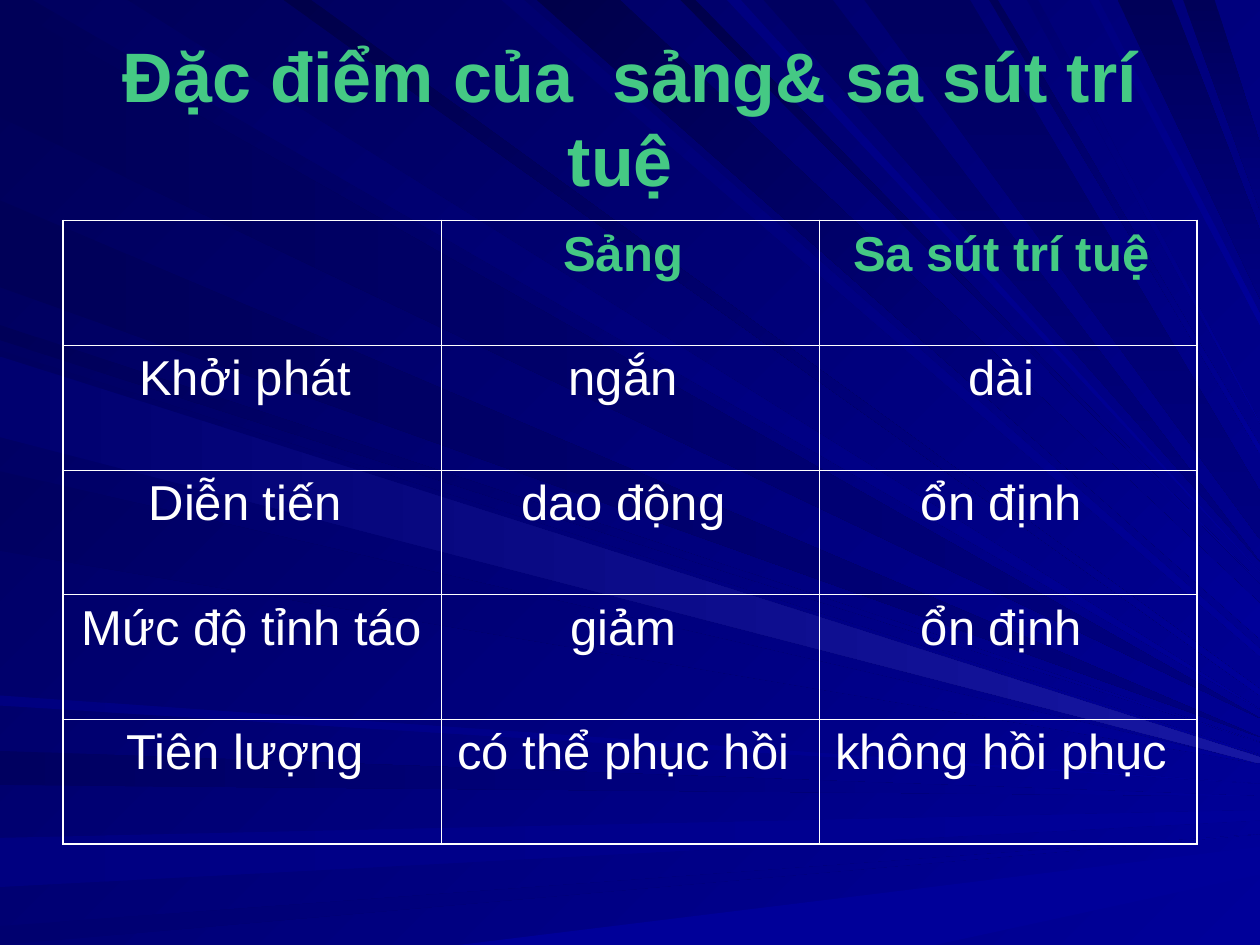
from lxml import etree
from pptx import Presentation
from pptx.dml.color import RGBColor
from pptx.enum.text import MSO_ANCHOR, MSO_AUTO_SIZE, PP_ALIGN
from pptx.oxml.ns import qn
from pptx.util import Emu, Pt

PX = 9144  # EMU per px, 100 px to the inch
WIDTH, HEIGHT = 1000, 750
CENTER, MIDDLE, NO_FIT = PP_ALIGN.CENTER, MSO_ANCHOR.MIDDLE, MSO_AUTO_SIZE.NONE
GREEN = RGBColor.from_string("45C984")
WHITE = RGBColor.from_string("FFFFFF")
BLACKISH = RGBColor.from_string("00004A")
NIGHT = RGBColor.from_string("000058")
DUSK = RGBColor.from_string("000060")
SHADE = RGBColor.from_string("00006F")
NAVY = RGBColor.from_string("000080")
BLUE = RGBColor.from_string("000099")
GLOW = RGBColor.from_string("1717A2")
ACROSS, DIAGONAL, DOWN = 0, 45, 90
FONT = "Arial"
OUTER, INNER = Pt(1.08), Pt(0.45)

TITLE = "Đặc điểm của  sảng& sa sút trí tuệ "
TITLE_BOX = (50, 30, 900, 125)
TABLE_BOX = (50, 175, 900, 495)
ROWS = [
    ("", "Sảng ", "Sa sút trí tuệ "),
    ("Khởi phát ", "ngắn ", "dài "),
    ("Diễn tiến ", "dao động ", "ổn định "),
    ("Mức độ tỉnh táo ", "giảm ", "ổn định "),
    ("Tiên lượng ", "có thể phục hồi ", "không hồi phục "),
]

# Light rays, back to front: edge they start from, span on that edge,
# heights where they meet the right edge, first colour, last colour, angle
RAYS = [
    ("left", (93, 2), [570], NIGHT, NAVY, ACROSS),
    ("top", (26, 101), [563], DUSK, BLUE, DIAGONAL),
    ("left", (623, 596), [632], DUSK, BLUE, ACROSS),
    ("left", (704, 665), [643, 651], NAVY, BLUE, ACROSS),
    ("left", (750, 735), [662], SHADE, BLUE, ACROSS),
    ("bottom", (742, 364), [672, 694], BLUE, BLUE, ACROSS),
    ("left", (270, 258), [589], NIGHT, BLUE, DIAGONAL),
    ("left", (228, 159), [585], NIGHT, NAVY, ACROSS),
    ("top", (398, 416), [515, 521], SHADE, BLUE, DIAGONAL),
    ("top", (426, 492), [479, 507], BLACKISH, BLUE, DIAGONAL),
    ("top", (540, 552), [463], BLACKISH, BLUE, DIAGONAL),
    ("top", (606, 661), [446], DUSK, NAVY, DOWN),
    ("top", (887, 930), [183, 237], NIGHT, NAVY, DOWN),
    ("top", (939, 964), [114, 167], NIGHT, NAVY, DOWN),
    ("left", (342, 278), [599], DUSK, BLUE, DIAGONAL),
    ("left", (437, 374), [606], DUSK, BLUE, DIAGONAL),
    ("left", (560, 552), [622], NAVY, BLUE, ACROSS),
    ("top", (225, 247), [547, 552], BLACKISH, BLUE, DIAGONAL),
    ("top", (577, 588), [454], NAVY, BLUE, DIAGONAL),
    ("top", (686, 770), [390, 428], DUSK, NAVY, DOWN),
    ("top", (785, 792), [354, 360], NIGHT, BLUE, DIAGONAL),
    ("top", (815, 824), [336], SHADE, BLUE, DIAGONAL),
    ("top", (865, 872), [249, 258], NAVY, BLUE, DIAGONAL),
    ("left", (347, 283), [601, 606], SHADE, GLOW, ACROSS),
]


def paint(fill, first, last, angle):
    """Solid when both colours agree, else a linear gradient turned clockwise."""
    if first == last:
        fill.solid()
        fill.fore_color.rgb = first
        return
    fill.gradient()
    fill.gradient_angle = -angle % 360
    for stop, color in zip(fill.gradient_stops, (first, last)):
        stop.color.rgb = color


def add_ray(shapes, edge, span, tips, first, last, angle):
    if edge == "left":
        points = [(0, y) for y in span]
    else:
        points = [(x, 0 if edge == "top" else HEIGHT) for x in span]
    points += [(WIDTH, y) for y in tips]
    builder = shapes.build_freeform(*points[0], scale=PX)
    builder.add_line_segments(points[1:], close=True)
    sp = builder.convert_to_shape()
    sp.shadow.inherit = False
    paint(sp.fill, first, last, angle)
    sp.line.fill.background()


def write(tf, text, color, **font):
    p = tf.paragraphs[0]
    p.alignment = CENTER
    r = p.add_run()
    r.text = text
    for name, value in font.items():
        setattr(r.font, name, value)
    r.font.name = FONT
    r.font.color.rgb = color


def add_borders(cell, widths):
    tc_pr = cell._tc.get_or_add_tcPr()
    for side, width in zip("LRTB", widths):
        ln = etree.SubElement(tc_pr, qn(f"a:ln{side}"), w=str(width))
        solid = etree.SubElement(ln, qn("a:solidFill"))
        etree.SubElement(solid, qn("a:srgbClr"), val=str(WHITE))


def add_comparison(shapes):
    n_rows, n_cols = len(ROWS), len(ROWS[0])
    frame = shapes.add_table(n_rows, n_cols, *(Emu(v * PX) for v in TABLE_BOX))
    table = frame.table
    table.first_row = table.horz_banding = False
    for i, row in enumerate(ROWS):
        for j, text in enumerate(row):
            cell = table.cell(i, j)
            edges = (j == 0, j == n_cols - 1, i == 0, i == n_rows - 1)
            add_borders(cell, [OUTER if edge else INNER for edge in edges])
            cell.fill.background()
            if text:
                header = i == 0
                write(cell.text_frame, text, GREEN if header else WHITE,
                      size=Pt(28), bold=header)


def main():
    prs = Presentation()
    prs.slide_width, prs.slide_height = Emu(WIDTH * PX), Emu(HEIGHT * PX)
    s = prs.slides.add_slide(prs.slide_layouts[5])
    paint(s.background.fill, NIGHT, BLUE, DIAGONAL)
    for ray in RAYS:
        add_ray(s.shapes, *ray)

    title = s.shapes.title
    s.shapes._spTree.append(title._element)  # bring in front of the rays
    for name, value in zip(("left", "top", "width", "height"), TITLE_BOX):
        setattr(title, name, Emu(value * PX))
    tf = title.text_frame
    tf.word_wrap, tf.auto_size, tf.vertical_anchor = True, NO_FIT, MIDDLE
    write(tf, TITLE, GREEN, size=Pt(40), bold=True)

    add_comparison(s.shapes)
    prs.save("out.pptx")


if __name__ == "__main__":
    main()
